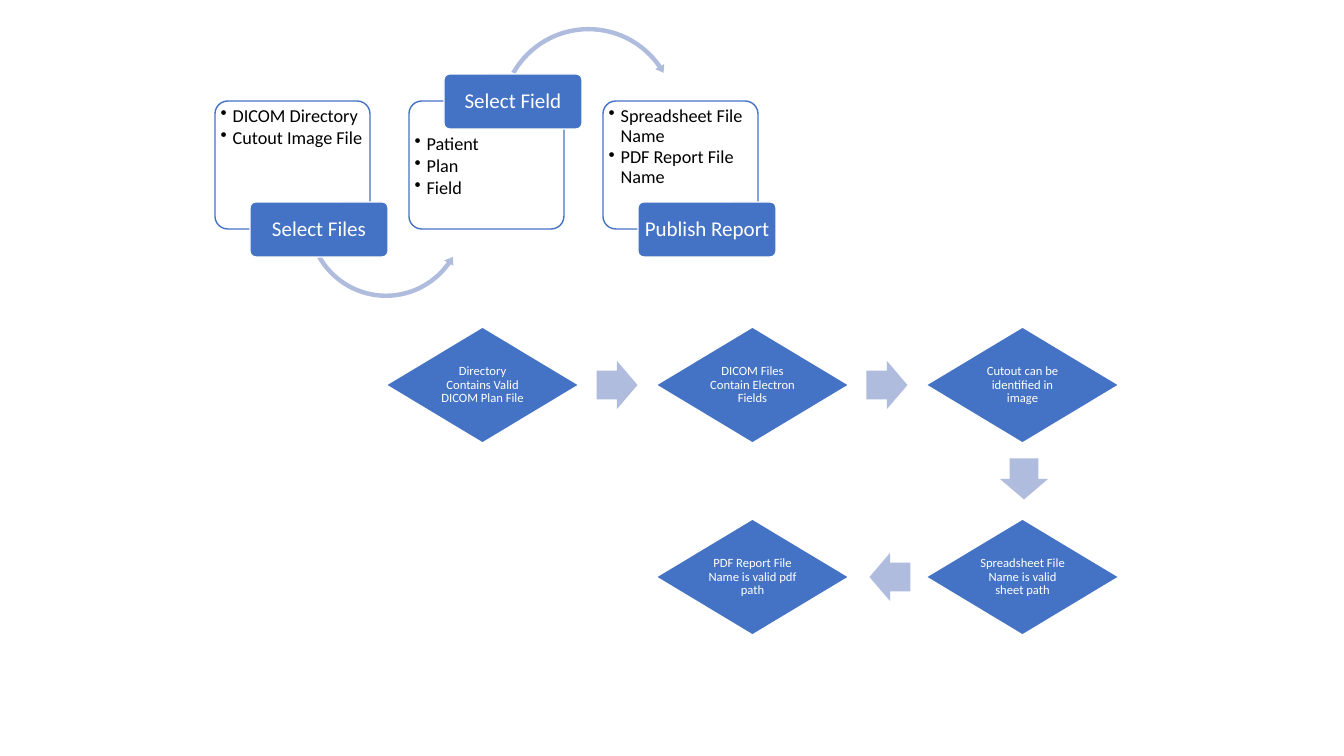
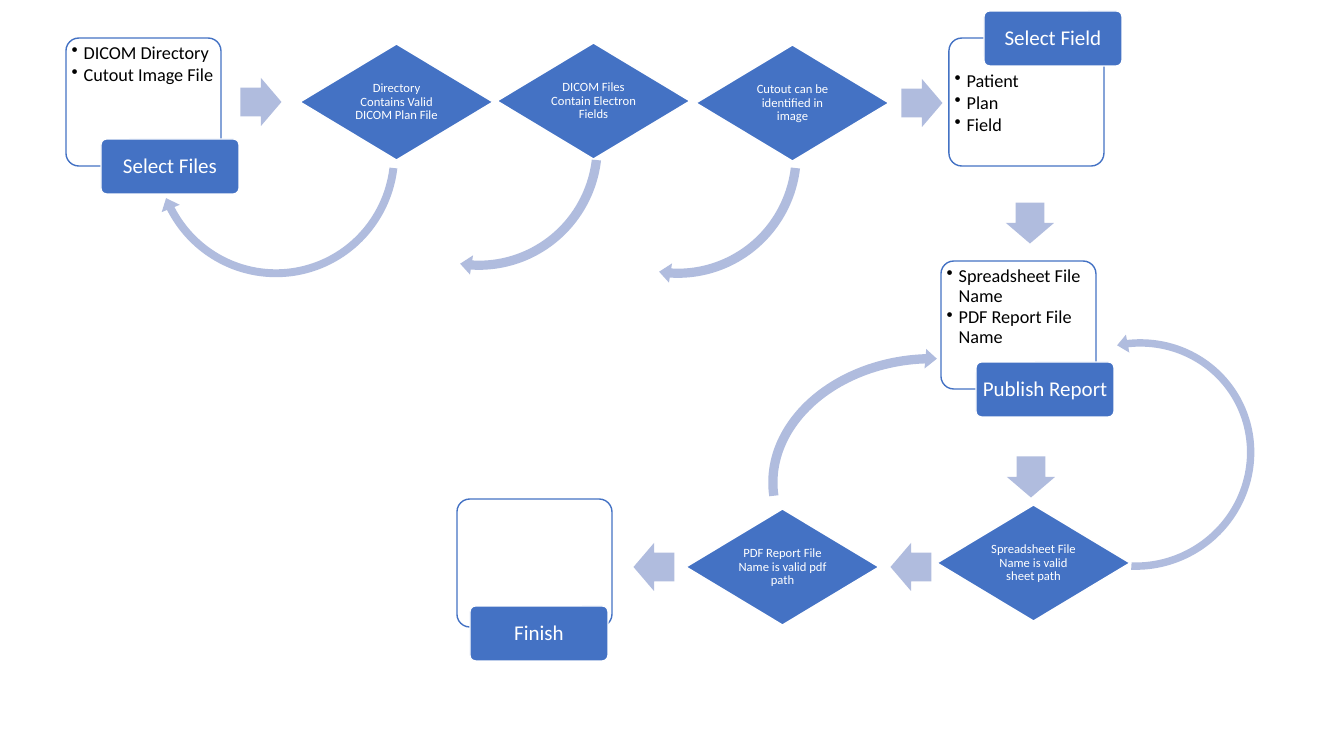
"""Build two workflow slides: the steps with their checks, then the joined flow."""
from lxml.etree import SubElement
from pptx import Presentation
from pptx.dml.color import RGBColor
from pptx.enum.shapes import MSO_SHAPE as Kind
from pptx.enum.text import MSO_ANCHOR as Anchor, PP_ALIGN as Align
from pptx.oxml.ns import qn
from pptx.util import Emu, Pt

SCALE = 914400 / 100.8
HUES = {"blue": "4472C4", "pale": "B0BCDE", "white": "FFFFFF", "black": "000000"}
FONT = "Calibri"
CARD, TAG, GEM, ARROW = (155, 128), (138, 55), (193, 116), (41, 48)
LEFT, ROUND = Kind.LEFT_CIRCULAR_ARROW, Kind.CIRCULAR_ARROW

FILES = ("Select Files", ["DICOM Directory", "Cutout Image File"], (35, 101))
FIELD = ("Select Field", ["Patient", "Plan", "Field"], (35, -27))
REPORT = ("Publish Report", ["Spreadsheet File Name", "PDF Report File Name"], (35, 101))
FINISH = ("Finish", [], (13, 107))
CHECKS = [
    "Directory Contains Valid DICOM Plan File",
    "DICOM Files Contain Electron Fields",
    "Cutout can be identified in image",
    "Spreadsheet File Name is valid sheet path",
    "PDF Report File Name is valid pdf path",
]

STEPS = {
    "arcs": [
        (LEFT, (304, 137, 164, 164), (2.7, 5.49, 35.08, 150.41, 3.2), 0, False),
        (ROUND, (497, 24, 183, 183), (2.4, 4.86, 325.55, 209.59, 2.8), 0, False),
    ],
    "cards": [(215 + 194 * n, 101, card) for n, card in enumerate([FILES, FIELD, REPORT])],
    "gems": [(386 + 270 * col, 327 + 192 * row)
             for col, row in [(0, 0), (1, 0), (2, 0), (2, 1), (1, 1)]],
    "arrows": [(617, 385, 0), (887, 385, 0), (1024, 479, 90), (890, 577, 180)],
}
FLOW = {
    "arcs": [
        (LEFT, (148, 25, 256, 258), (3.1, 5.49, 27.37, 173.19, 3.8), 0, True),
        (LEFT, (351, 17, 256, 258), (3.6, 5.49, 86.4, 173.19, 3.8), 0, True),
        (LEFT, (550, 25, 256, 258), (3.6, 5.49, 86.4, 173.19, 3.8), 0, True),
        (LEFT, (1018, 332, 240, 245), (3.1, 5.49, 27.37, 216.1, 3.8), 237.3, False),
        (LEFT, (763, 349, 327, 258), (3.6, 5.49, 86.4, 182.52, 3.8), 175.9, True),
    ],
    "cards": [(66, 38, FILES), (949, 38, FIELD), (941, 261, REPORT), (457, 499, FINISH)],
    "gems": [(300, 44), (497, 43), (696, 45), (937, 505), (686, 509)],
    "arrows": [(261, 102, 0), (922, 103, 0), (1030, 223, 90),
               (1031, 477, 90), (911, 567, 180), (654, 567, 180)],
}


def px(num):
    return Emu(round(num * SCALE))


def draw(page, kind, box, fill, edge=None, adj=(), turn=0, text=(), size=9,
         hue="white", pad=(3, 3, 3, 3), list_style=False):
    shape = page.shapes.add_shape(kind, *map(px, box))
    shape.shadow.inherit = False
    shape.fill.solid()
    shape.fill.fore_color.rgb = RGBColor.from_string(HUES[fill])
    if edge:
        shape.line.color.rgb = RGBColor.from_string(HUES[edge])
        shape.line.width = Pt(1)
    else:
        shape.line.fill.background()
    for n, val in enumerate(adj):
        shape.adjustments[n] = val
    shape.rotation = turn
    frame = shape.text_frame
    frame.word_wrap = True
    frame.vertical_anchor = Anchor.TOP if list_style else Anchor.MIDDLE
    frame.margin_left, frame.margin_top, frame.margin_right, frame.margin_bottom = map(px, pad)
    for n, words in enumerate(text):
        para = frame.add_paragraph() if n else frame.paragraphs[0]
        para.alignment = Align.LEFT if list_style else Align.CENTER
        para.line_spacing = 0.9
        run = para.add_run()
        run.text = words
        run.font.name, run.font.size = FONT, Pt(size)
        run.font.color.rgb = RGBColor.from_string(HUES[hue])
        if list_style:
            para.space_after = Pt(1.5)
            props = para._p.get_or_add_pPr()
            props.set("marL", str(px(12)))
            props.set("indent", str(-px(12)))
            SubElement(props, qn("a:buChar"), char="•")
    return shape


deck = Presentation()
deck.slide_width, deck.slide_height = px(1344), px(756)

for plan in (STEPS, FLOW):
    page = deck.slides.add_slide(deck.slide_layouts[6])

    for kind, box, (band, tip, end, start, head), turn, flip in plan["arcs"]:
        adj = [band / 100, tip * 0.6, end * 0.6, start * 0.6, head / 100]
        arc = draw(page, kind, box, "pale", adj=adj, turn=turn)
        if flip:
            arc.element.xpath(".//a:xfrm")[0].set("flipH", "1")

    for x, y, (name, items, (dx, dy)) in plan["cards"]:
        top = 30 if dy < 0 else 2
        draw(page, Kind.ROUNDED_RECTANGLE, (x, y, *CARD), "white", "blue", [0.1],
             text=items, size=13, hue="black", pad=(2, top, 0, 2), list_style=True)
        draw(page, Kind.ROUNDED_RECTANGLE, (x + dx, y + dy, *TAG), "blue", "white", [0.1],
             text=[name], size=15, pad=(3, 2, 3, 2))

    for (x, y), check in zip(plan["gems"], CHECKS):
        draw(page, Kind.FLOWCHART_DECISION, (x, y, *GEM), "blue", "white", text=[check])

    for x, y, turn in plan["arrows"]:
        wide, high = ARROW
        draw(page, Kind.RIGHT_ARROW, (x - wide / 2, y - high / 2, wide, high), "pale",
             adj=[0.6, 0.5], turn=turn)

deck.save("out.pptx")
